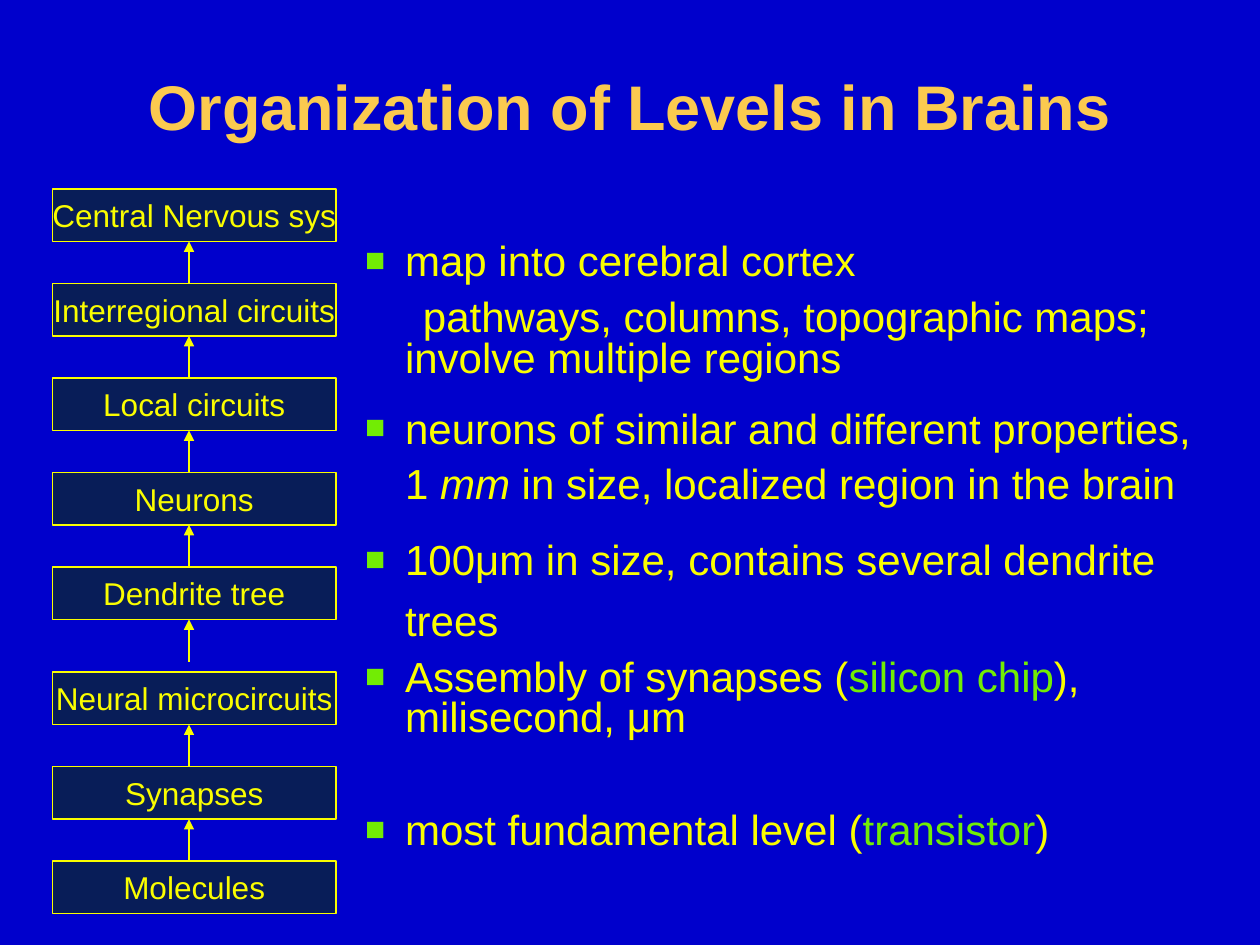
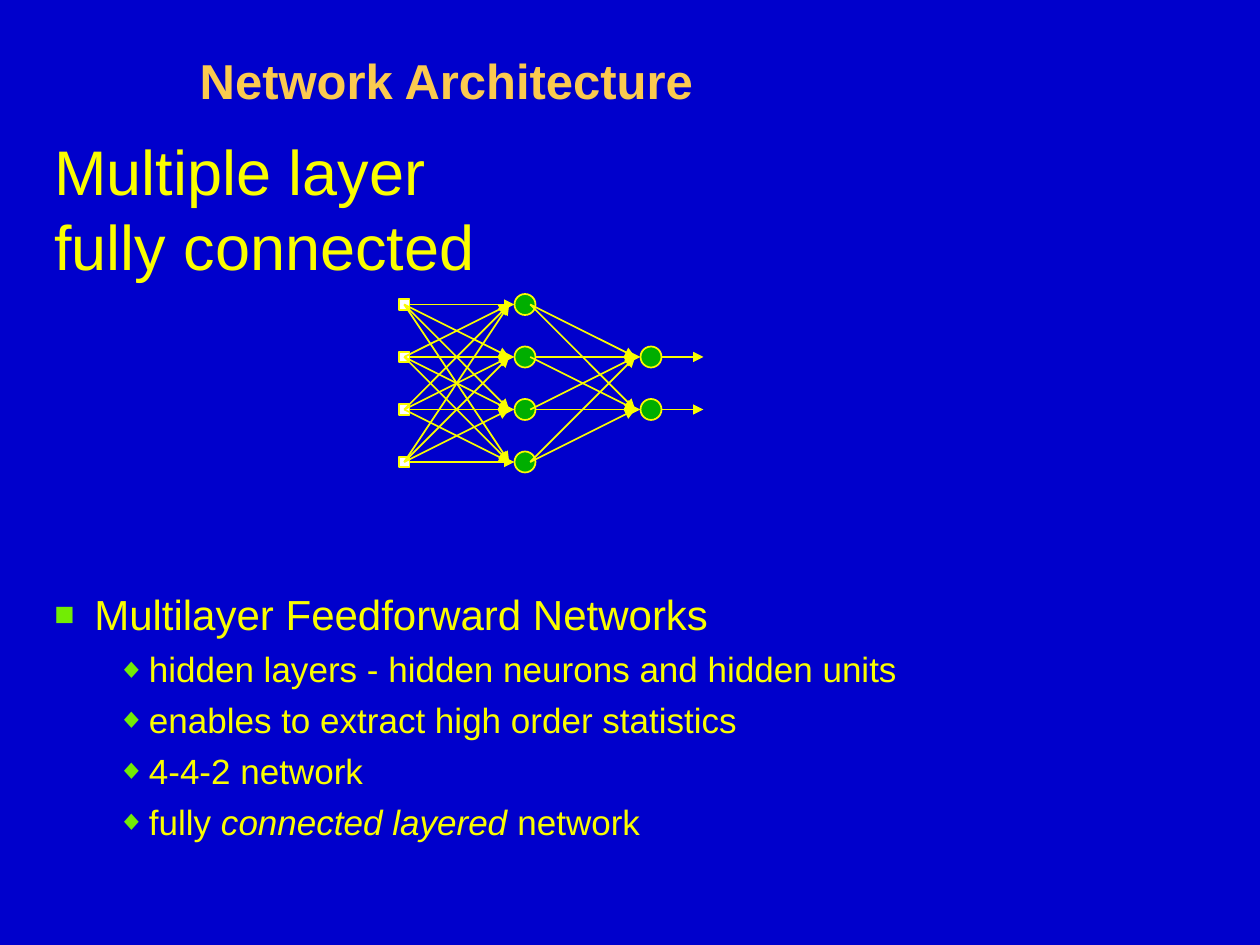
"""Build two slides on brain organization and network architecture."""
from dataclasses import dataclass, replace
from itertools import product
from typing import Any

from lxml.etree import SubElement
from pptx import Presentation
from pptx.dml.color import RGBColor
from pptx.enum.shapes import MSO_CONNECTOR, MSO_SHAPE
from pptx.enum.text import MSO_ANCHOR, MSO_AUTO_SIZE, PP_ALIGN
from pptx.oxml.ns import qn
from pptx.util import Emu, Pt

PX = 914400 // 120
FONT = "Arial"
BACKGROUND, TITLE, TEXT, ACCENT = "0000CC", "FBCA4F", "FAFD00", "72EC04"
BOX, INPUT, NEURON = "081D58", "FFFFFF", "00AE00"


@dataclass(frozen=True)
class Area:
    left: int
    top: int
    width: int
    height: int


@dataclass(frozen=True)
class Run:
    text: str
    color: str = TEXT
    italic: bool = False
    bold: bool = False


@dataclass(frozen=True)
class Line:
    runs: tuple[Run, ...]
    size: int = 24
    spacing: float = 1.0
    before: float = 0
    bullet: str = ""
    margin: int = 0
    indent: int = 0
    level: int = 0
    align: PP_ALIGN = PP_ALIGN.LEFT


@dataclass(frozen=True)
class Layer:
    name: str
    left: int
    size: int
    rows: tuple[int, ...]
    kind: MSO_SHAPE
    fill: str


LEVELS = ("Central Nervous sys", "Interregional circuits", "Local circuits", "Neurons",
          "Dendrite tree", "Neural microcircuits", "Synapses", "Molecules")
ROWS = (290, 340, 390, 440)
LAYERS = (
    Layer("Input", 380, 10, ROWS, MSO_SHAPE.RECTANGLE, INPUT),
    Layer("Hidden", 490, 20, ROWS, MSO_SHAPE.OVAL, NEURON),
    Layer("Output", 610, 20, ROWS[1:3], MSO_SHAPE.OVAL, NEURON),
)


def px(length: int) -> Emu:
    """Turn px into EMU."""
    return Emu(length * PX)


def rgb(color: str) -> RGBColor:
    """Turn a hex string into a colour."""
    return RGBColor.from_string(color)


def apply(target: Any, values: dict[str, Any]) -> None:
    """Set each named attribute on the target."""
    for name, value in values.items():
        setattr(target, name, value)


def place(area: Area) -> tuple[Emu, Emu, Emu, Emu]:
    """Give an area as EMU lengths."""
    return px(area.left), px(area.top), px(area.width), px(area.height)


def point(text: str, *more: Run, **values: Any) -> Line:
    """Make a top-level bulleted line that starts with plain text."""
    base = Line((Run(text), *more), 24, 0.8, 9, "■", 38, -38)
    return replace(base, **values)


def subpoint(text: str, *more: Run) -> Line:
    """Make a second-level bulleted line."""
    return Line((Run(text), *more), 20, 0.9, 7.5, "◆", 90, -30, 1)


def add_bullet(properties: Any, character: str) -> None:
    """Give a paragraph a coloured bullet at 80 percent."""
    color = SubElement(properties, qn("a:buClr"))
    SubElement(color, qn("a:srgbClr"), val=ACCENT)
    SubElement(properties, qn("a:buSzPct"), val="80000")
    SubElement(properties, qn("a:buFont"), typeface=FONT)
    SubElement(properties, qn("a:buChar"), char=character)


def write_lines(frame: Any, lines: list[Line]) -> None:
    """Fill a text frame with formatted lines."""
    for index, line in enumerate(lines):
        paragraph = frame.add_paragraph() if index else frame.paragraphs[0]
        apply(paragraph, {"alignment": line.align, "line_spacing": line.spacing,
                          "space_before": Pt(line.before), "level": line.level})
        properties = paragraph._p.get_or_add_pPr()
        properties.set("marL", str(px(line.margin)))
        properties.set("indent", str(px(line.indent)))
        if line.bullet:
            add_bullet(properties, line.bullet)
        for part in line.runs:
            run = paragraph.add_run()
            run.text = part.text
            apply(run.font, {"name": FONT, "size": Pt(line.size),
                             "bold": part.bold, "italic": part.italic})
            run.font.color.rgb = rgb(part.color)


def add_text(slide: Any, area: Area, lines: list[Line], **frame_values: Any) -> None:
    """Add a text box."""
    frame = slide.shapes.add_textbox(*place(area)).text_frame
    apply(frame, {"word_wrap": True, **frame_values})
    write_lines(frame, lines)


def add_block(slide: Any, kind: MSO_SHAPE, area: Area, fill: str) -> Any:
    """Add a filled shape with the shared outline."""
    shape = slide.shapes.add_shape(kind, *place(area))
    shape.shadow.inherit = False
    shape.fill.solid()
    shape.fill.fore_color.rgb = rgb(fill)
    shape.line.color.rgb = rgb(TEXT)
    shape.line.width = Pt(1)
    return shape


def add_arrow(slide: Any, start: tuple[int, int], end: tuple[int, int]) -> Any:
    """Add a straight arrow."""
    arrow = slide.shapes.add_connector(
        MSO_CONNECTOR.STRAIGHT, *(px(value) for value in (*start, *end)))
    arrow.line.color.rgb = rgb(TEXT)
    arrow.line.width = Pt(1)
    SubElement(arrow.line._get_or_add_ln(), qn("a:tailEnd"), type="triangle")
    SubElement(arrow._element.spPr, qn("a:effectLst"))
    return arrow


def add_slide(presentation: Any, title: str, area: Area, size: int) -> Any:
    """Add a slide with the shared background and title style."""
    slide = presentation.slides.add_slide(presentation.slide_layouts[6])
    slide.background.fill.solid()
    slide.background.fill.fore_color.rgb = rgb(BACKGROUND)
    heading = Line((Run(title, TITLE, bold=True),), size, 0.9, align=PP_ALIGN.CENTER)
    add_text(slide, area, [heading], vertical_anchor=MSO_ANCHOR.MIDDLE)
    return slide


def add_levels(slide: Any) -> None:
    """Stack the level boxes, with arrows up from each to the next."""
    for index, name in enumerate(LEVELS):
        top = 180 + 90 * index + (10 if index >= LEVELS.index("Neural microcircuits") else 0)
        box = add_block(slide, MSO_SHAPE.RECTANGLE, Area(50, top, 270, 50), BOX)
        apply(box.text_frame, {"word_wrap": False, "vertical_anchor": MSO_ANCHOR.MIDDLE})
        write_lines(box.text_frame, [Line((Run(name),), 18, align=PP_ALIGN.CENTER)])
        if name != LEVELS[-1]:
            add_arrow(slide, (180, top + 90), (180, top + 50))


def add_network(slide: Any) -> None:
    """Draw the layers and connect every node to the whole next layer."""
    nodes = {}
    for layer in LAYERS:
        for row in layer.rows:
            area = Area(layer.left, row - layer.size // 2, layer.size, layer.size)
            node = add_block(slide, layer.kind, area, layer.fill)
            node.name = f"{layer.name} {layer.rows.index(row) + 1}"
            nodes[layer.name, row] = node
    for source, target in zip(LAYERS, LAYERS[1:]):
        start = source.left + source.size
        for begin, end in product(source.rows, target.rows):
            inset = 0 if begin == end else 5
            arrow = add_arrow(slide, (start - inset, begin), (target.left - inset, end))
            if begin == end and source.kind == MSO_SHAPE.RECTANGLE:
                arrow.begin_connect(nodes[source.name, begin], 3)
    for row in LAYERS[-1].rows:
        add_arrow(slide, (630, row), (670, row))


def build_levels_slide(presentation: Any) -> None:
    """Build the slide on levels in brains."""
    slide = add_slide(presentation, "Organization of Levels in Brains",
                      Area(30, 30, 1140, 150), 36)
    add_text(slide, Area(336, 227, 820, 619), [
        point("map into cerebral cortex"),
        point("pathways, columns, topographic maps; involve multiple regions",
              bullet="", indent=17),
        point("neurons of similar and different properties, 1 ", Run("mm", italic=True),
              Run(" in size, localized region in the brain"), spacing=1.1),
        point("100μm in size, contains several dendrite trees", spacing=1.2),
        point("Assembly of synapses (", Run("silicon chip", ACCENT),
              Run("), milisecond, μm")),
        point("most fundamental level (", Run("transistor", ACCENT), Run(")"), before=41.5),
    ])
    add_levels(slide)


def build_network_slide(presentation: Any) -> None:
    """Build the slide on network architecture."""
    slide = add_slide(presentation, "Network Architecture", Area(30, 30, 790, 100), 28)
    add_text(slide, Area(40, 120, 424, 156),
             [Line((Run(text),), 36) for text in ("Multiple layer", "fully connected")],
             word_wrap=False, auto_size=MSO_AUTO_SIZE.SHAPE_TO_FIT_TEXT)
    add_network(slide)
    add_text(slide, Area(40, 560, 1130, 270), [
        point("Multilayer Feedforward Networks", spacing=0.9),
        subpoint("hidden layers - hidden neurons and hidden units"),
        subpoint("enables to extract high order statistics"),
        subpoint("4-4-2 network"),
        subpoint("fully ", Run("connected layered", italic=True), Run(" network")),
    ])


def main() -> None:
    """Build and save the presentation."""
    presentation = Presentation()
    apply(presentation, {"slide_width": px(1200), "slide_height": px(900)})
    build_levels_slide(presentation)
    build_network_slide(presentation)
    presentation.save("out.pptx")


if __name__ == "__main__":
    main()
